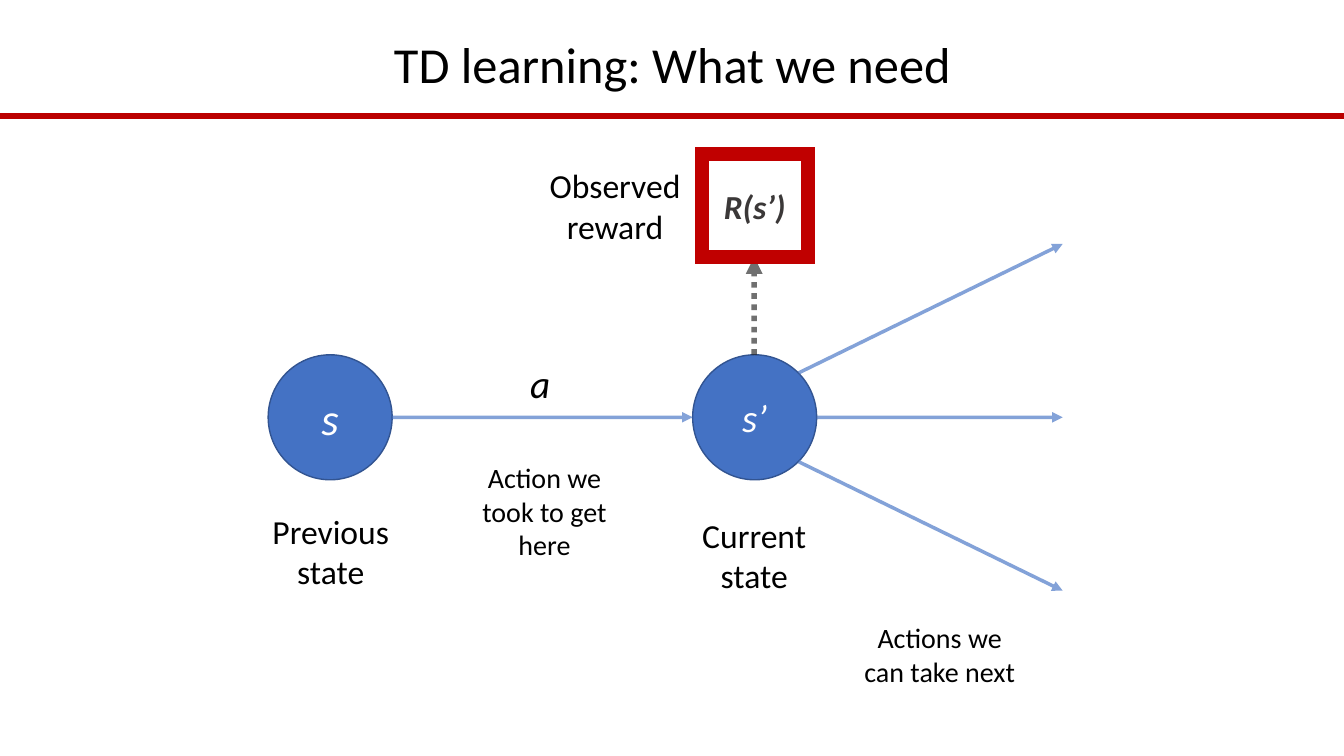
from dataclasses import dataclass, field
from lxml.etree import SubElement
from pptx import Presentation
from pptx.dml.color import RGBColor
from pptx.enum.dml import MSO_LINE
from pptx.enum.shapes import MSO_CONNECTOR, MSO_SHAPE
from pptx.enum.text import MSO_ANCHOR, PP_ALIGN
from pptx.oxml.ns import qn
from pptx.util import Pt

PX = 9144  # EMU per px, 100 px to the inch
WIDE, HIGH = 1333, 750
BLACK = RGBColor(0, 0, 0)
WHITE = RGBColor(255, 255, 255)
BLUE = RGBColor(0x44, 0x72, 0xC4)
NAVY = RGBColor(0x32, 0x54, 0x91)
RED = RGBColor(0xBB, 0, 0)
FRAME = RGBColor(0xC0, 0, 0)
GRAY = RGBColor(0x26, 0x26, 0x26)
SLATE = RGBColor(0x3B, 0x38, 0x38)


@dataclass
class Label:
    text: str
    box: tuple[int, int, int, int]
    size: int
    italic: bool = False
    align: PP_ALIGN = PP_ALIGN.CENTER
    anchor: MSO_ANCHOR = MSO_ANCHOR.TOP
    space: float = 1.0


@dataclass
class Node:
    text: str
    kind: MSO_SHAPE
    box: tuple[int, int, int, int]
    size: int
    ink: RGBColor
    fill: RGBColor | None
    edge: RGBColor
    width: int
    font: dict = field(default_factory=dict)


@dataclass
class Arrow:
    start: tuple[int, int]
    end: tuple[int, int]
    color: RGBColor = BLUE
    width: float = 2.5
    dash: MSO_LINE = MSO_LINE.SOLID


def scale(*sizes: int) -> list[int]:
    return [size * PX for size in sizes]


def write(shape, text: str, size: int, ink: RGBColor, align: PP_ALIGN,
          anchor: MSO_ANCHOR, style: dict, space: float = 1.0) -> None:
    frame = shape.text_frame
    frame.word_wrap = True
    frame.vertical_anchor = anchor
    para = frame.paragraphs[0]
    para.alignment = align
    para.line_spacing = space
    run = para.add_run()
    run.text = text
    run.font.color.rgb = ink
    for name, value in {"name": "Calibri", "size": Pt(size), **style}.items():
        setattr(run.font, name, value)


def draw_label(slide, label: Label) -> None:
    shape = slide.shapes.add_textbox(*scale(*label.box))
    write(shape, label.text, label.size, BLACK, label.align, label.anchor,
          {"italic": label.italic}, label.space)


def draw_node(slide, node: Node) -> None:
    shape = slide.shapes.add_shape(node.kind, *scale(*node.box))
    shape.shadow.inherit = False
    if node.fill is None:
        shape.fill.background()
    else:
        shape.fill.solid()
        shape.fill.fore_color.rgb = node.fill
    shape.line.color.rgb = node.edge
    shape.line.width = Pt(node.width)
    SubElement(shape.line._get_or_add_ln(), qn("a:miter"), lim="800000")
    write(shape, node.text, node.size, node.ink, PP_ALIGN.CENTER,
          MSO_ANCHOR.MIDDLE, {"italic": True, **node.font})


def draw_line(slide, start: tuple[int, int], end: tuple[int, int],
              color: RGBColor, width: float):
    line = slide.shapes.add_connector(
        MSO_CONNECTOR.STRAIGHT, *scale(*start, *end))
    line.line.color.rgb = color
    line.line.width = Pt(width)
    SubElement(line._element.spPr, qn("a:effectLst"))
    return line


def draw_arrow(slide, arrow: Arrow) -> None:
    line = draw_line(slide, arrow.start, arrow.end, arrow.color, arrow.width)
    line.line.dash_style = arrow.dash
    ln = line.line._get_or_add_ln()
    color = ln.find(qn("a:solidFill")).find(qn("a:srgbClr"))
    SubElement(color, qn("a:alpha"), val="65000")
    SubElement(ln, qn("a:tailEnd"), type="triangle")


# States share one row; next actions fan out evenly about it
ROW, TIP, FAN, RISE = 414, 1054, 172, 44
DISC = (123, 124)
PAST, NOW, TOP = 266, 687, 352

NODES = [
    Node(text, MSO_SHAPE.OVAL, (left, TOP, *DISC), size, WHITE, BLUE, NAVY, 1)
    for text, left, size in [("s", PAST, 32), ("s’", NOW, 28)]
]
REWARD = Node("R(s’)", MSO_SHAPE.RECTANGLE, (696, 153, 105, 102), 24, SLATE,
              None, FRAME, 10, {"bold": True})
ARROWS = [
    Arrow((PAST + DISC[0], ROW), (NOW, ROW)),
    *[Arrow((810 if way == 0 else 792, ROW + way * RISE),
            (TIP, ROW + way * FAN)) for way in (-1, 0, 1)],
    Arrow((748, TOP), (748, 255), GRAY, 4, MSO_LINE.ROUND_DOT),
]
LABELS = [
    Label("TD learning: What we need", (92, 34, 1150, 66), 36,
          anchor=MSO_ANCHOR.MIDDLE, space=0.9),
    Label("a", (516, 352, 50, 58), 28, True, PP_ALIGN.LEFT),
    Label("Previous state", (234, 502, 188, 91), 24),
    Label("Current state", (654, 506, 188, 91), 24),
    Label("Action we took to get here", (446, 452, 188, 111), 20),
    Label("Actions we can take next", (838, 611, 188, 77), 20),
    Label("Observed reward", (516, 159, 188, 91), 24),
]


def main() -> None:
    deck = Presentation()
    deck.slide_width, deck.slide_height = scale(WIDE, HIGH)
    slide = deck.slides.add_slide(deck.slide_layouts[6])
    # Rule under the title
    draw_line(slide, (0, 115), (WIDE, 115), RED, 4)
    # Diagram
    for node in NODES:
        draw_node(slide, node)
    for arrow in ARROWS:
        draw_arrow(slide, arrow)
    draw_node(slide, REWARD)
    # Title and captions
    for label in LABELS:
        draw_label(slide, label)
    deck.save("out.pptx")


if __name__ == "__main__":
    main()
